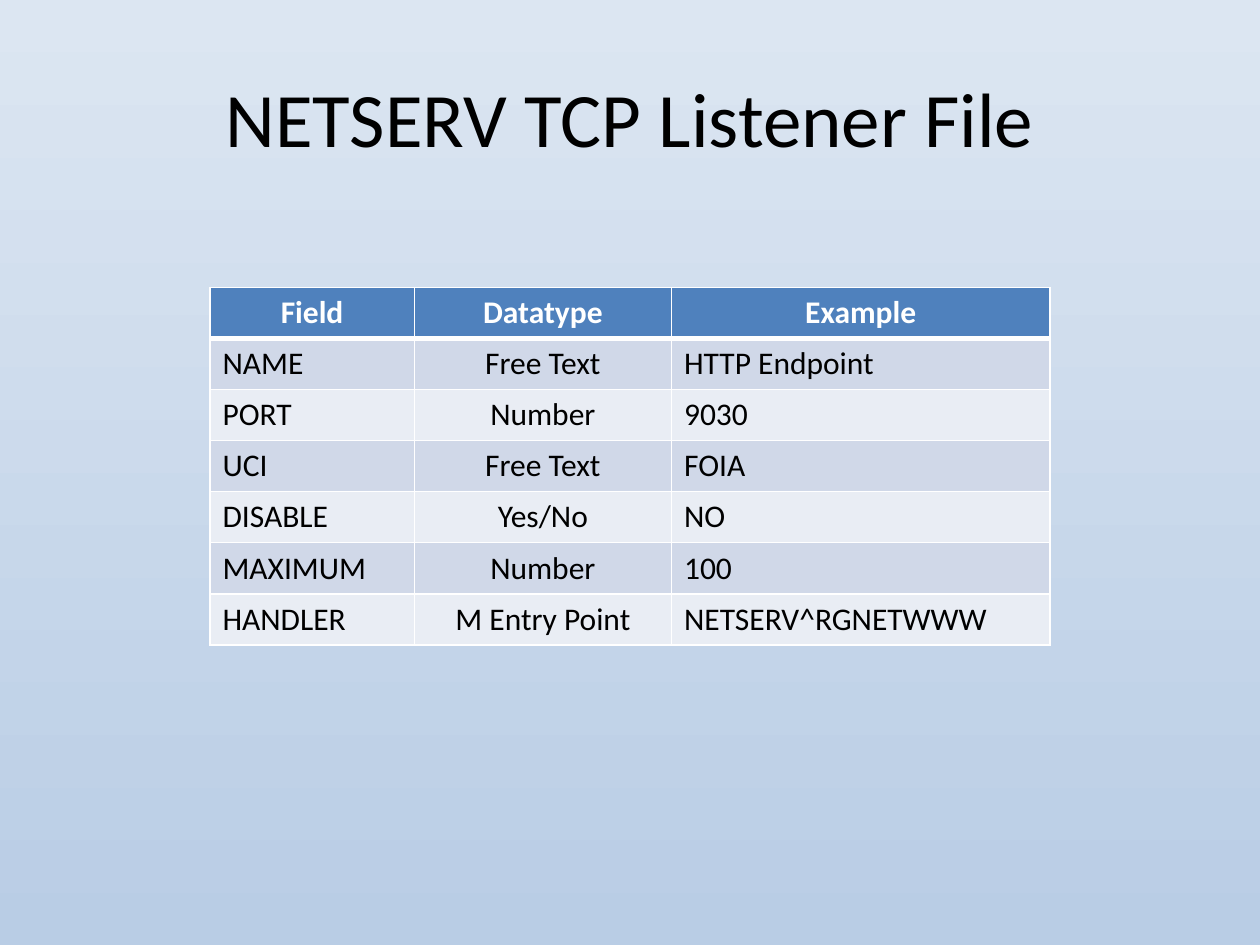
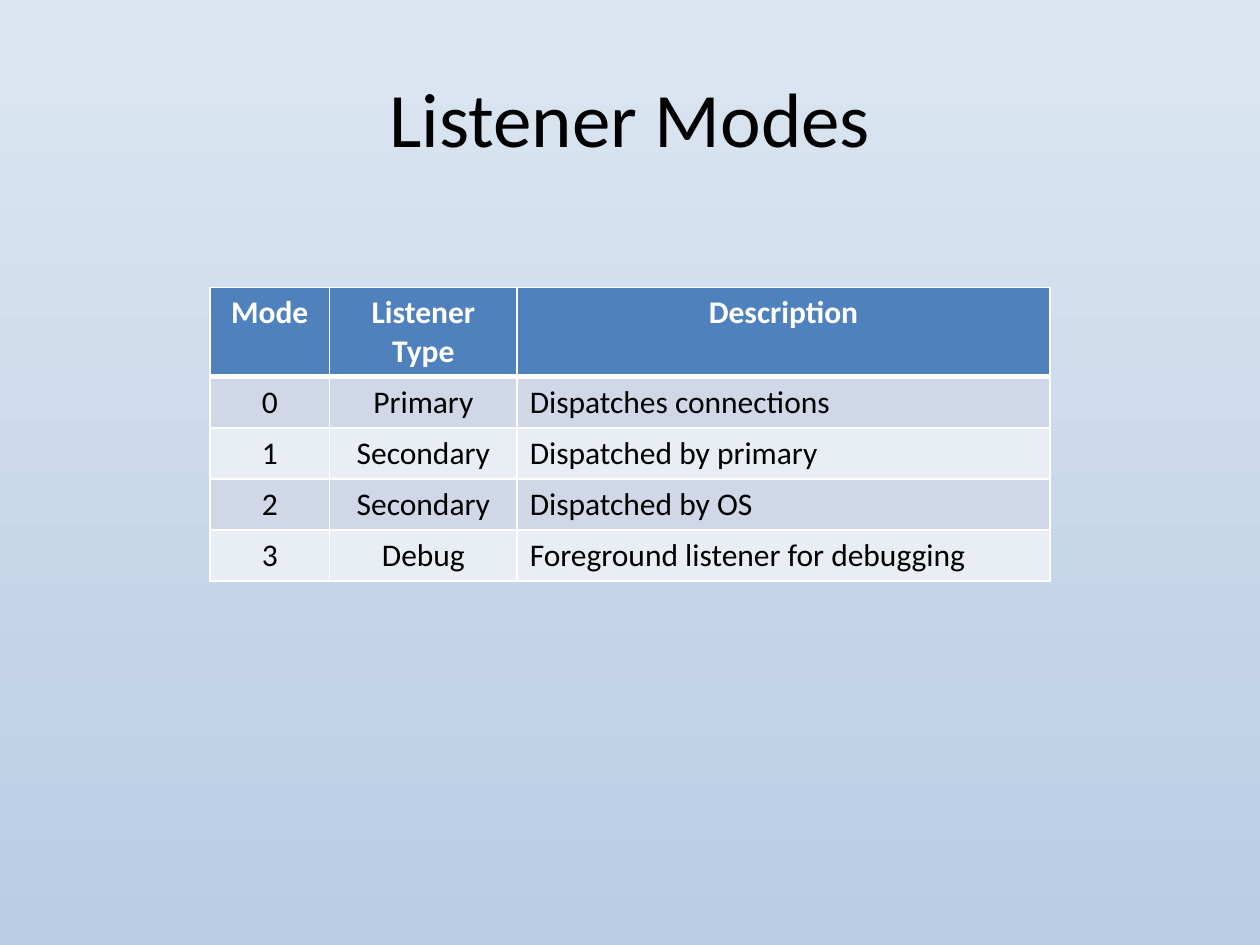
from dataclasses import dataclass

from lxml.etree import SubElement
from pptx import Presentation
from pptx.dml.color import RGBColor
from pptx.enum.text import MSO_ANCHOR, PP_ALIGN
from pptx.oxml.ns import qn
from pptx.presentation import Presentation as Deck
from pptx.slide import Slide
from pptx.table import _Cell
from pptx.text.text import TextFrame
from pptx.util import Inches, Pt

SLIDE_W, SLIDE_H = Inches(10), Inches(7.5)
TITLE_BOX = (0.05, 0.04, 0.9, 1 / 6)  # left, top, width, height as shares
TABLE_LEFT, TABLE_TOP, TABLE_W = 1 / 6, 0.304, 2 / 3
ROW_H = Pt(29.2)

FONT = "Calibri"
BLACK = RGBColor(0x00, 0x00, 0x00)
WHITE = RGBColor(0xFF, 0xFF, 0xFF)
SKY_TOP = RGBColor(0xDC, 0xE6, 0xF2)
SKY_BOTTOM = RGBColor(0xB9, 0xCD, 0xE5)
HEADER_BLUE = RGBColor(0x4F, 0x81, 0xBD)
BANDS = (RGBColor(0xD0, 0xD8, 0xE8), RGBColor(0xE9, 0xED, 0xF4))
THIN, THICK = Pt(1), Pt(3)
LEFT, CENTER = PP_ALIGN.LEFT, PP_ALIGN.CENTER


@dataclass(frozen=True)
class Column:
    heading: str
    width: float  # relative to the other columns
    align: PP_ALIGN = LEFT


@dataclass(frozen=True)
class TableSlide:
    title: str
    columns: tuple[Column, ...]
    rows: tuple[tuple[str, ...], ...]


SLIDES = (
    TableSlide(
        "NETSERV TCP Listener File",
        (Column("Field", 1.62), Column("Datatype", 2.04, CENTER), Column("Example", 3)),
        (
            ("NAME", "Free Text", "HTTP Endpoint"),
            ("PORT", "Number", "9030"),
            ("UCI", "Free Text", "FOIA"),
            ("DISABLE", "Yes/No", "NO"),
            ("MAXIMUM", "Number", "100"),
            ("HANDLER", "M Entry Point", "NETSERV^RGNETWWW"),
        ),
    ),
    TableSlide(
        "Listener Modes",
        (
            Column("Mode", 0.95, CENTER),
            Column("Listener Type", 1.49, CENTER),
            Column("Description", 4.23),
        ),
        (
            ("0", "Primary", "Dispatches connections"),
            ("1", "Secondary", "Dispatched by primary"),
            ("2", "Secondary", "Dispatched by OS"),
            ("3", "Debug", "Foreground listener for debugging"),
        ),
    ),
)


def write(tf: TextFrame, text: str, *, size: float = 18, color: RGBColor = BLACK,
          bold: bool = False, align: PP_ALIGN = LEFT) -> None:
    p = tf.paragraphs[0]
    p.alignment = align
    r = p.add_run()
    r.text = text
    r.font.name, r.font.size, r.font.bold = FONT, Pt(size), bold
    r.font.color.rgb = color


def set_borders(cell: _Cell, top: int, bottom: int) -> None:
    """Draw white cell borders; the schema wants them ahead of the fill."""
    tc_pr = cell._tc.get_or_add_tcPr()
    widths = {"a:lnL": THIN, "a:lnR": THIN, "a:lnT": top, "a:lnB": bottom}
    for i, (tag, width) in enumerate(widths.items()):
        ln = SubElement(tc_pr, qn(tag), w=str(int(width)))
        SubElement(SubElement(ln, qn("a:solidFill")), qn("a:srgbClr"), val=str(WHITE))
        tc_pr.insert(i, ln)


def set_background(prs: Deck) -> None:
    fill = prs.slide_master.background.fill
    fill.gradient()
    fill.gradient_angle = 270
    for stop, color, position in zip(fill.gradient_stops, (SKY_TOP, SKY_BOTTOM), (0, 1)):
        stop.color.rgb = color
        stop.position = position


def add_title(slide: Slide, text: str) -> None:
    sp = slide.shapes.title
    left, top, width, height = TITLE_BOX
    sp.left, sp.width = int(SLIDE_W * left), int(SLIDE_W * width)
    sp.top, sp.height = int(SLIDE_H * top), int(SLIDE_H * height)
    sp.text_frame.vertical_anchor = MSO_ANCHOR.MIDDLE
    write(sp.text_frame, text, size=44, align=CENTER)


def add_field_table(slide: Slide, content: TableSlide) -> None:
    columns = content.columns
    lines = (tuple(c.heading for c in columns), *content.rows)
    table_w = SLIDE_W * TABLE_W
    table = slide.shapes.add_table(
        len(lines), len(columns), int(SLIDE_W * TABLE_LEFT), int(SLIDE_H * TABLE_TOP),
        int(table_w), ROW_H * len(lines)).table
    table.horz_banding = False

    total = sum(c.width for c in columns)
    for i, column in enumerate(columns):
        table.columns[i].width = int(table_w * column.width / total)

    for i, line in enumerate(lines):
        table.rows[i].height = ROW_H
        header = i == 0
        for j, text in enumerate(line):
            cell = table.cell(i, j)
            cell.fill.solid()
            cell.fill.fore_color.rgb = HEADER_BLUE if header else BANDS[(i - 1) % 2]
            set_borders(cell, THICK if i == 1 else THIN, THICK if header else THIN)
            write(cell.text_frame, text, bold=header, color=WHITE if header else BLACK,
                  align=CENTER if header else columns[j].align)


def main() -> None:
    prs = Presentation()
    prs.slide_width, prs.slide_height = SLIDE_W, SLIDE_H
    set_background(prs)
    title_only = prs.slide_layouts.get_by_name("Title Only")
    for content in SLIDES:
        slide = prs.slides.add_slide(title_only)
        add_title(slide, content.title)
        add_field_table(slide, content)
    prs.save("out.pptx")


if __name__ == "__main__":
    main()
